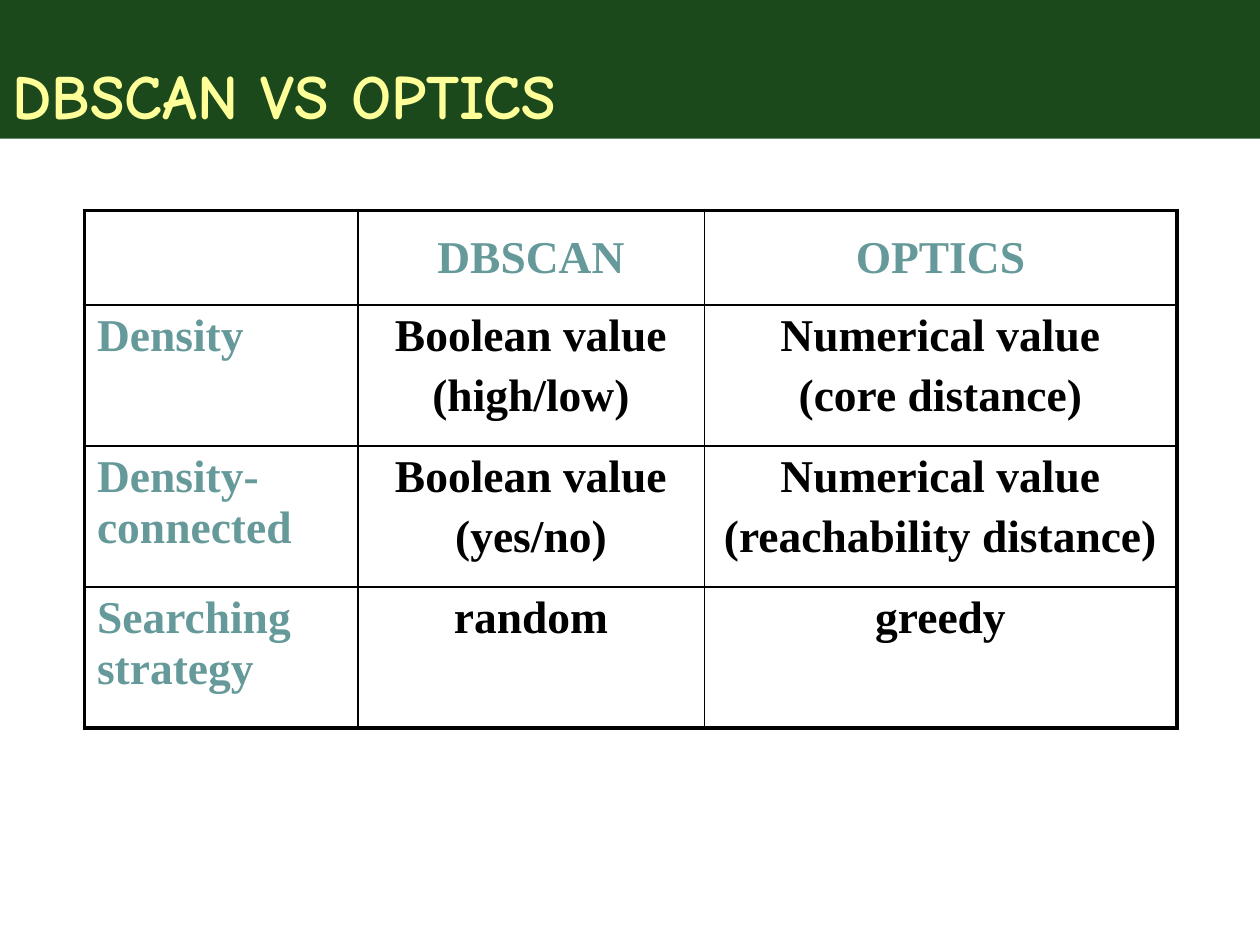
from lxml import etree
from pptx import Presentation
from pptx.dml.color import RGBColor
from pptx.enum import text
from pptx.oxml import ns
from pptx.util import Inches, Pt

GREEN = RGBColor(0x00, 0x33, 0x00)
YELLOW = RGBColor(0xFF, 0xFF, 0x99)
TEAL = RGBColor(0x66, 0x99, 0x99)
BLACK = RGBColor(0x00, 0x00, 0x00)

COLUMN_WIDTHS = [2.17, 2.75, 3.75]
ROW_HEIGHTS = [0.75, 1.12, 1.12, 1.12]
COMPARISON = [
    ["", "DBSCAN", "OPTICS"],
    ["Density", "Boolean value\n(high/low)", "Numerical value\n(core distance)"],
    ["Density-connected", "Boolean value\n(yes/no)",
     "Numerical value\n(reachability distance)"],
    ["Searching strategy", "random", "greedy"],
]


def add_run(paragraph, words, font_name, size, color):
    run = paragraph.add_run()
    run.text = words
    run.font.name = font_name
    run.font.size = Pt(size)
    run.font.bold = True
    run.font.color.rgb = color


def set_borders(cell, widths):
    """Draw black cell borders; widths are points for left, right, top, bottom."""
    properties = cell._tc.get_or_add_tcPr()
    for position, (side, width) in enumerate(zip("LRTB", widths)):
        line = etree.Element(ns.qn(f"a:ln{side}"), w=str(Pt(width)))
        fill = etree.SubElement(line, ns.qn("a:solidFill"))
        etree.SubElement(fill, ns.qn("a:srgbClr"), val=str(BLACK))
        properties.insert(position, line)


prs = Presentation()
prs.slide_width = Inches(10)
prs.slide_height = Inches(7.5)
slide = prs.slides.add_slide(prs.slide_layouts[5])

# Title band
title = slide.shapes.title
title.left, title.top = Inches(0), Inches(0)
title.width, title.height = Inches(10), Inches(1.1)
title.fill.solid()
title.fill.fore_color.rgb = GREEN
band_color = title._element.spPr.find(".//" + ns.qn("a:srgbClr"))
etree.SubElement(band_color, ns.qn("a:alpha"), val="89000")
title.text_frame.auto_size = text.MSO_AUTO_SIZE.NONE
title.text_frame.vertical_anchor = text.MSO_ANCHOR.BOTTOM
heading = title.text_frame.paragraphs[0]
heading.alignment = text.PP_ALIGN.LEFT
add_run(heading, "DBSCAN VS OPTICS", "Comic Neue", 36, YELLOW)

# Comparison table
last_row, last_column = len(ROW_HEIGHTS) - 1, len(COLUMN_WIDTHS) - 1
table = slide.shapes.add_table(
    len(ROW_HEIGHTS), len(COLUMN_WIDTHS), Inches(0.67), Inches(1.67),
    Inches(sum(COLUMN_WIDTHS)), Inches(sum(ROW_HEIGHTS))).table
table.first_row = False
table.horz_banding = False
for column, width in zip(table.columns, COLUMN_WIDTHS):
    column.width = Inches(width)
for row, height in zip(table.rows, ROW_HEIGHTS):
    row.height = Inches(height)

for r, entries in enumerate(COMPARISON):
    for c, entry in enumerate(entries):
        cell = table.cell(r, c)
        cell.fill.background()
        outer_edges = [c == 0, c == last_column, r == 0, r == last_row]
        set_borders(cell, [2.25 if outer else 1 for outer in outer_edges])
        cell.vertical_anchor = (
            text.MSO_ANCHOR.MIDDLE if r == 0 else text.MSO_ANCHOR.TOP)
        if not entry:
            continue
        for i, words in enumerate(entry.split("\n")):
            frame = cell.text_frame
            paragraph = frame.add_paragraph() if i else frame.paragraphs[0]
            if i:
                paragraph.space_before = Pt(5.2)
            paragraph.alignment = (
                text.PP_ALIGN.CENTER if c else text.PP_ALIGN.LEFT)
            color = BLACK if r and c else TEAL
            add_run(paragraph, words, "Times New Roman", 26, color)

prs.save("out.pptx")
